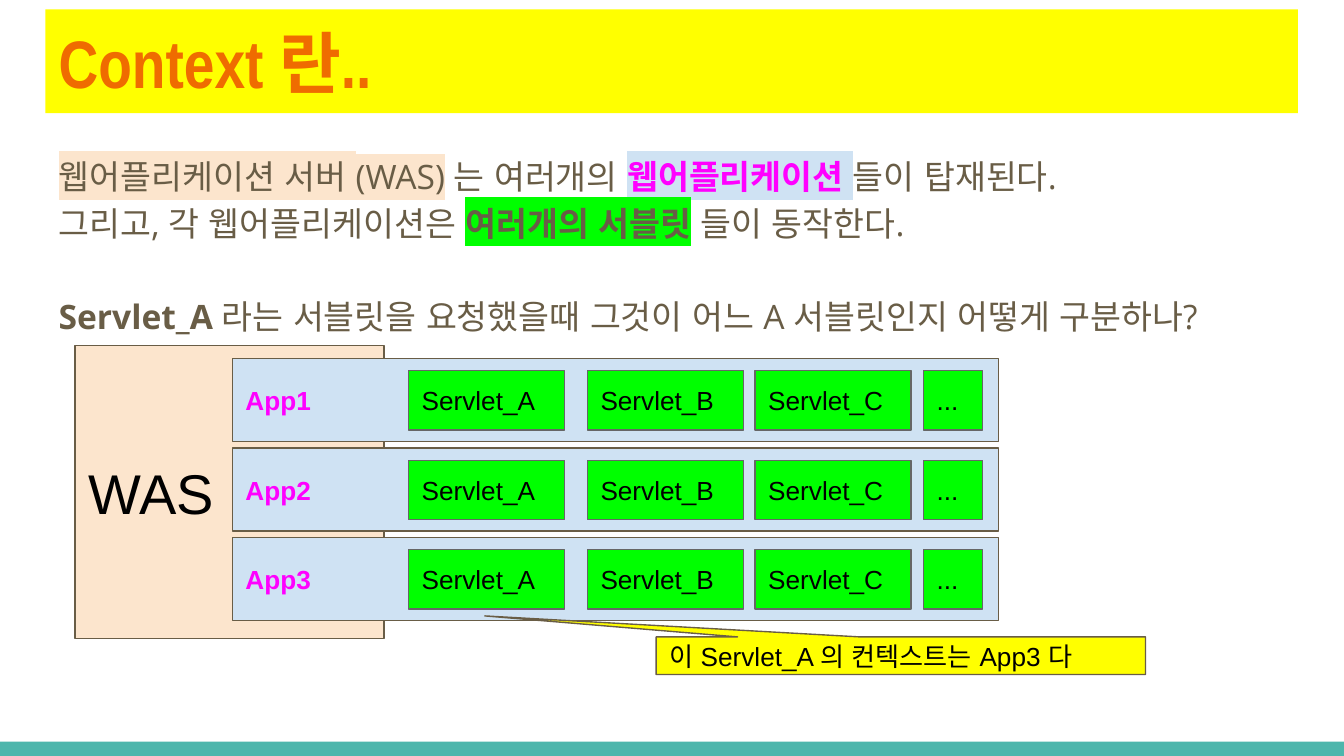
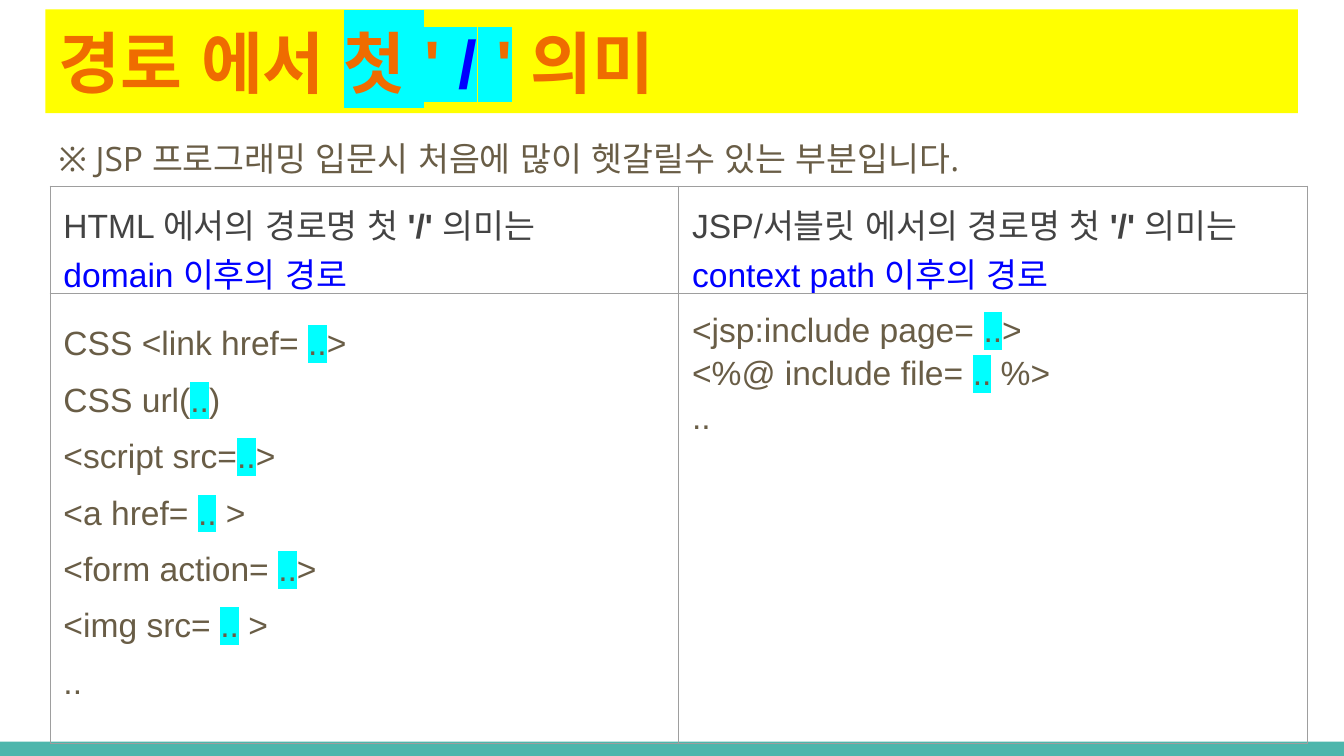
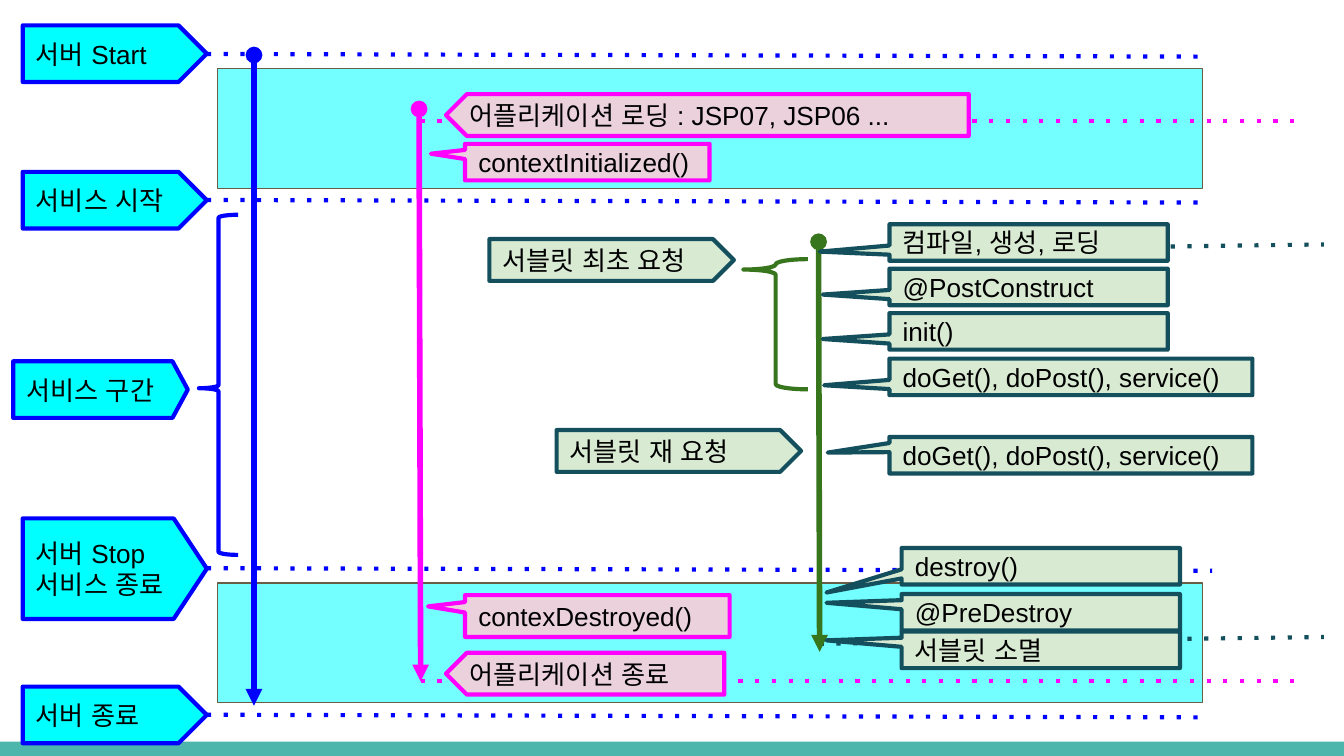
from lxml.etree import SubElement
from pptx import Presentation
from pptx.dml.color import RGBColor as RGB
from pptx.enum.lang import MSO_LANGUAGE_ID as Language
from pptx.enum.shapes import MSO_CONNECTOR as Connector, MSO_SHAPE as Shape
from pptx.enum.text import MSO_ANCHOR as Anchor, PP_ALIGN as Align
from pptx.oxml.ns import qn
from pptx.util import Cm, Pt

COLORS = {
    "white": "FFFFFF", "black": "000000", "teal": "4DB6AC", "yellow": "FFFF00",
    "orange": "EF6C00", "brown": "695D46", "peach": "FCE5CD", "pale blue": "CFE2F3",
    "magenta": "FF00FF", "lime": "00FF00", "cyan": "00FFFF", "blue": "0000FF",
    "gray": "666666", "border gray": "9E9E9E", "dark gray": "434343",
    "pink": "EAD1DC", "pale green": "D9EAD3", "petrol": "134F5C", "green": "38761D",
}
SLIDE_WIDTH, SLIDE_HEIGHT = 25.4, 14.29
INSET = Cm(0.25)
MARGINS = {f"margin_{side}": INSET for side in ("left", "right", "top", "bottom")}

LABEL = {"size": Pt(14), "name": "Arial", "color": "black"}
TITLE = {"size": Pt(36), "name": "Arial Narrow", "bold": True, "color": "orange"}
BODY = {"size": Pt(18), "name": "Open Sans", "color": "brown"}
CELL = {"size": Pt(18), "name": "Arial", "color": "brown"}
CELL_HEAD = CELL | {"color": "dark gray"}

BLUE_TAG = {"fill": "cyan", "line": "blue", "weight": 2.25}
PINK_TAG = {"fill": "pink", "line": "magenta", "weight": 2.25}
GREEN_TAG = {"fill": "pale green", "line": "petrol", "weight": 2.25}


def rgb(color):
    return RGB.from_string(COLORS[color])


def set_attributes(target, values):
    for name, value in values.items():
        setattr(target, name, value)


def add_run(paragraph, text, style):
    values = dict(style)
    color, highlight = values.pop("color"), values.pop("highlight", None)
    run = paragraph.add_run()
    run.text = text
    run.font.color.rgb = rgb(color)
    if highlight:
        fill = run.font.fill._xPr.find(qn("a:solidFill"))
        mark = SubElement(fill.getparent(), qn("a:highlight"))
        SubElement(mark, qn("a:srgbClr")).set("val", COLORS[highlight])
        fill.addnext(mark)
    set_attributes(run.font, values | {"language_id": Language.KOREAN})


def write(frame, lines, style, **paragraph_format):
    """Write one paragraph per line; a line is a string or a list of
    strings and (string, changes to the style) pairs."""
    for index, line in enumerate(lines):
        paragraph = frame.paragraphs[0] if index == 0 else frame.add_paragraph()
        set_attributes(paragraph, {"alignment": Align.LEFT} | paragraph_format)
        for part in [line] if isinstance(line, str) else line:
            text, changes = (part, {}) if isinstance(part, str) else part
            add_run(paragraph, text, style | changes)


def add_figure(slide, kind, box, fill=None, line=None, weight=0.75, lines=(),
               style=LABEL, adjustments=(), flipped=False):
    shape = slide.shapes.add_shape(kind, *map(Cm, box))
    shape.shadow.inherit = False
    for index, value in enumerate(adjustments):
        shape.adjustments[index] = value
    if fill:
        shape.fill.solid()
        shape.fill.fore_color.rgb = rgb(fill)
    else:
        shape.fill.background()
    if line:
        set_attributes(shape.line, {"width": Pt(weight)})
        shape.line.color.rgb = rgb(line)
    else:
        shape.line.fill.background()
    if flipped:
        shape.element.spPr.find(qn("a:xfrm")).set("flipH", "1")
    if lines:
        frame = shape.text_frame
        set_attributes(frame, MARGINS | {"word_wrap": True,
                                         "vertical_anchor": Anchor.MIDDLE})
        write(frame, lines, style)
    return shape


def add_callout(slide, box, text, pointer, **look):
    add_figure(slide, Shape.ROUNDED_RECTANGULAR_CALLOUT, box, lines=[text],
               adjustments=(*pointer, 0), **look)


def add_tag(slide, box, lines, point=0.5, **look):
    add_figure(slide, Shape.PENTAGON, box, lines=lines, adjustments=[point], **look)


def add_line(slide, start, end, color, weight):
    connector = slide.shapes.add_connector(Connector.STRAIGHT, *map(Cm, start + end))
    SubElement(connector.element.spPr, qn("a:effectLst"))
    connector.line.color.rgb = rgb(color)
    connector.line.width = Pt(weight)
    return connector.get_or_add_ln()


def add_dotted_line(slide, start, end, color):
    line = add_line(slide, start, end, color, 2.25)
    SubElement(line, qn("a:prstDash")).set("val", "dot")


def add_time_axis(slide, start, end, color):
    line = add_line(slide, start, end, color, 3)
    for end_name, head in (("a:headEnd", "oval"), ("a:tailEnd", "triangle")):
        SubElement(line, qn(end_name)).set("type", head)


def add_text(slide, top, height, lines, **paragraph_format):
    box = slide.shapes.add_textbox(Cm(0.86), Cm(top), Cm(23.67), Cm(height))
    set_attributes(box.text_frame, MARGINS | {"word_wrap": True})
    write(box.text_frame, lines, BODY, line_spacing=1.15, **paragraph_format)
    return box.text_frame


def add_slide(presentation, title=None):
    slide = presentation.slides.add_slide(presentation.slide_layouts[6])
    slide.background.fill.solid()
    slide.background.fill.fore_color.rgb = rgb("white")
    add_figure(slide, Shape.RECTANGLE, (0, 14.02, SLIDE_WIDTH, 0.27), "teal")
    if title:
        add_figure(slide, Shape.RECTANGLE, (0.86, 0.18, 23.67, 1.96), "yellow",
                   lines=[title], style=TITLE)
    return slide


def add_cell(cell, lines, style, spacing):
    properties = cell._tc.get_or_add_tcPr()
    for side in "LRTB":
        border = SubElement(properties, qn(f"a:ln{side}"), w=str(Pt(0.75)))
        fill = SubElement(border, qn("a:solidFill"))
        SubElement(fill, qn("a:srgbClr")).set("val", COLORS["border gray"])
    cell.fill.background()
    set_attributes(cell, MARGINS)
    write(cell.text_frame, lines, style, line_spacing=spacing)


def path_head(place, ending, answer):
    return [[place, ("'/' ", {"bold": True}), ending], [(answer, {"color": "blue"})]]


def code_lines(pairs):
    """Mark the path between the two halves of each code line."""
    return [[before, ("..", {"highlight": "cyan"}), after]
            for before, after in pairs] + [".."]


def build_context(presentation):
    slide = add_slide(presentation, "Context 란..")
    frame = add_text(slide, 2.59, 3.94, [
        [("웹어플리케이션 서버 (WAS)", {"highlight": "peach"}), " 는 여러개의 ",
         ("웹어플리케이션", {"color": "magenta", "bold": True, "highlight": "pale blue"}),
         (" ", {"highlight": "pale blue"}), "들이 탑재된다."],
        ["그리고, 각 웹어플리케이션은 ",
         ("여러개의 서블릿", {"bold": True, "highlight": "lime"}), " 들이 동작한다."],
        [("Servlet_A", {"bold": True}),
         " 라는 서블릿을 요청했을때 그것이 어느 A 서블릿인지 어떻게 구분하나?"],
    ])
    frame.paragraphs[2].space_before = Pt(25)

    add_figure(slide, Shape.RECTANGLE, (1.42, 6.53, 5.84, 5.54), "peach", "brown",
               lines=["WAS"], style=LABEL | {"size": Pt(30)})
    app_name = LABEL | {"color": "magenta", "bold": True}
    servlets = [("Servlet_A", 7.72, 2.95), ("Servlet_B", 11.1, 2.95),
                ("Servlet_C", 14.27, 2.95), ("...", 17.45, 1.12)]
    for row in range(3):
        top = 6.78 + row * 1.69
        add_figure(slide, Shape.RECTANGLE, (4.39, top, 14.48, 1.57), "pale blue",
                   "brown", lines=[f"App{row + 1}"], style=app_name)
        for name, left, width in servlets:
            add_figure(slide, Shape.RECTANGLE, (left, top + 0.23, width, 1.12),
                       "lime", "gray", lines=[name])
    add_callout(slide, (12.4, 12.04, 9.25, 0.71), "이 Servlet_A 의 컨텍스트는 App3 다",
                (-0.85, -1.06), fill="yellow", line="brown")


def build_first_slash(presentation):
    marked = {"highlight": "cyan"}
    quote = marked | {"name": "Arial"}
    slide = add_slide(presentation, [
        "경로 에서 ", ("첫 ", marked), ("' ", quote), ("/", quote | {"color": "blue"}),
        (" '", quote), (" 의미", {"name": "Arial"})])
    add_text(slide, 2.24, 1.27,
             ["※ JSP 프로그래밍 입문시 처음에 많이 헷갈릴수 있는 부분입니다."],
             space_after=Pt(16))

    table = slide.shapes.add_table(2, 2, Cm(0.95), Cm(3.52), Cm(23.76), Cm(5.96)).table
    set_attributes(table, {"first_row": False, "horz_banding": False})
    for row, height in zip(table.rows, (1.85, 4.11)):
        row.height = Cm(height)
    html_code = code_lines([
        ("CSS <link href= ", ">"), ("CSS url(", ")"), ("<script src=", ">"),
        ("<a href= ", " >"), ("<form action= ", ">"), ("<img src= ", " >")])
    jsp_code = code_lines([("<jsp:include page= ", ">"), ("<%@ include file= ", " %>")])
    columns = [
        (path_head("HTML 에서의 경로명 첫 ", "의미는", "domain 이후의 경로"), html_code, 1.5),
        (path_head("JSP/서블릿 에서의 경로명 첫 ", "의미는", "context path 이후의 경로"),
         jsp_code, 1.15),
    ]
    for index, (head, code, spacing) in enumerate(columns):
        table.columns[index].width = Cm(11.88)
        add_cell(table.cell(0, index), head, CELL_HEAD, 1.0)
        add_cell(table.cell(1, index), code, CELL, spacing)


def build_life_cycle(presentation):
    slide = add_slide(presentation)
    for top in (1.3, 11.02):
        band = add_figure(slide, Shape.RECTANGLE, (4.11, top, 18.62, 2.26), "cyan", "brown")
        color = band.element.spPr.find(qn("a:solidFill")).find(qn("a:srgbClr"))
        SubElement(color, qn("a:alpha")).set("val", "55000")

    for top in (4.75, 12.17):
        add_dotted_line(slide, (15.49, top), (25.02, top - 0.13), "petrol")
    for top in (2.29, 12.88):
        add_dotted_line(slide, (7.95, top), (24.59, top), "magenta")
    for top, right in ((1.02, 22.71), (3.78, 22.71), (10.74, 22.91), (13.51, 22.71)):
        add_dotted_line(slide, (3.91, top), (right, top + 0.05), "blue")

    add_time_axis(slide, (4.8, 1.04), (4.8, 13.34), "blue")
    add_time_axis(slide, (7.92, 2.06), (7.95, 12.88), "magenta")
    add_time_axis(slide, (15.47, 4.57), (15.49, 12.32), "green")

    for box, color, middle in (((3.76, 4.06, 0.74, 6.43), "blue", 0.51),
                               ((14.05, 4.9, 1.22, 2.46), "green", 0.08)):
        add_figure(slide, Shape.LEFT_BRACE, box, line=color, weight=2.25,
                   adjustments=(0.08, middle))

    for top, text in ((0.48, "서버 Start"), (3.25, "서비스 시작"), (12.98, "서버 종료")):
        add_tag(slide, (0.43, top, 3.48, 1.07), [text], **BLUE_TAG)
    add_tag(slide, (0.43, 9.8, 3.48, 1.9), ["서버 Stop", "서비스 종료"], 0.33, **BLUE_TAG)
    add_tag(slide, (0.25, 6.83, 3.3, 1.07), ["서비스 구간"], 0.27, **BLUE_TAG)
    for top, width, text in ((1.78, 9.88, "어플리케이션 로딩 : JSP07, JSP06 ..."),
                             (12.34, 5.26, "어플리케이션 종료")):
        add_tag(slide, (8.43, top, width, 0.79), [text], flipped=True, **PINK_TAG)
    for left, top, text in ((9.25, 4.52, "서블릿 최초 요청"), (10.52, 8.13, "서블릿 재 요청")):
        add_tag(slide, (left, top, 4.62, 0.79), [text], **GREEN_TAG)

    for box, text in (((8.79, 2.72, 4.62, 0.69), "contextInitialized()"),
                      ((8.79, 11.25, 5, 0.79), "contexDestroyed()")):
        add_callout(slide, box, text, (-0.64, -0.23), **PINK_TAG)
    servlet_steps = [
        (16.81, 4.24, 5.26, "컴파일, 생성, 로딩", (-0.75, 0.25)),
        (16.81, 5.08, 5.26, "@PostConstruct", (-0.74, 0.21)),
        (16.81, 5.92, 5.26, "init()", (-0.74, 0.21)),
        (16.81, 6.78, 6.86, "doGet(), doPost(), service()", (-0.68, 0.23)),
        (16.81, 8.26, 6.86, "doGet(), doPost(), service()", (-0.67, -0.07)),
        (17.04, 10.36, 5.26, "destroy()", (-0.77, 0.72)),
        (17.04, 11.23, 5.26, "@PreDestroy", (-0.77, -0.26)),
        (17.04, 11.94, 5.26, "서블릿 소멸", (-0.77, -0.26)),
    ]
    for left, top, width, text, pointer in servlet_steps:
        add_callout(slide, (left, top, width, 0.69), text, pointer, **GREEN_TAG)


def main():
    presentation = Presentation()
    set_attributes(presentation, {"slide_width": Cm(SLIDE_WIDTH),
                                  "slide_height": Cm(SLIDE_HEIGHT)})
    build_context(presentation)
    build_first_slash(presentation)
    build_life_cycle(presentation)
    presentation.save("out.pptx")


if __name__ == "__main__":
    main()
